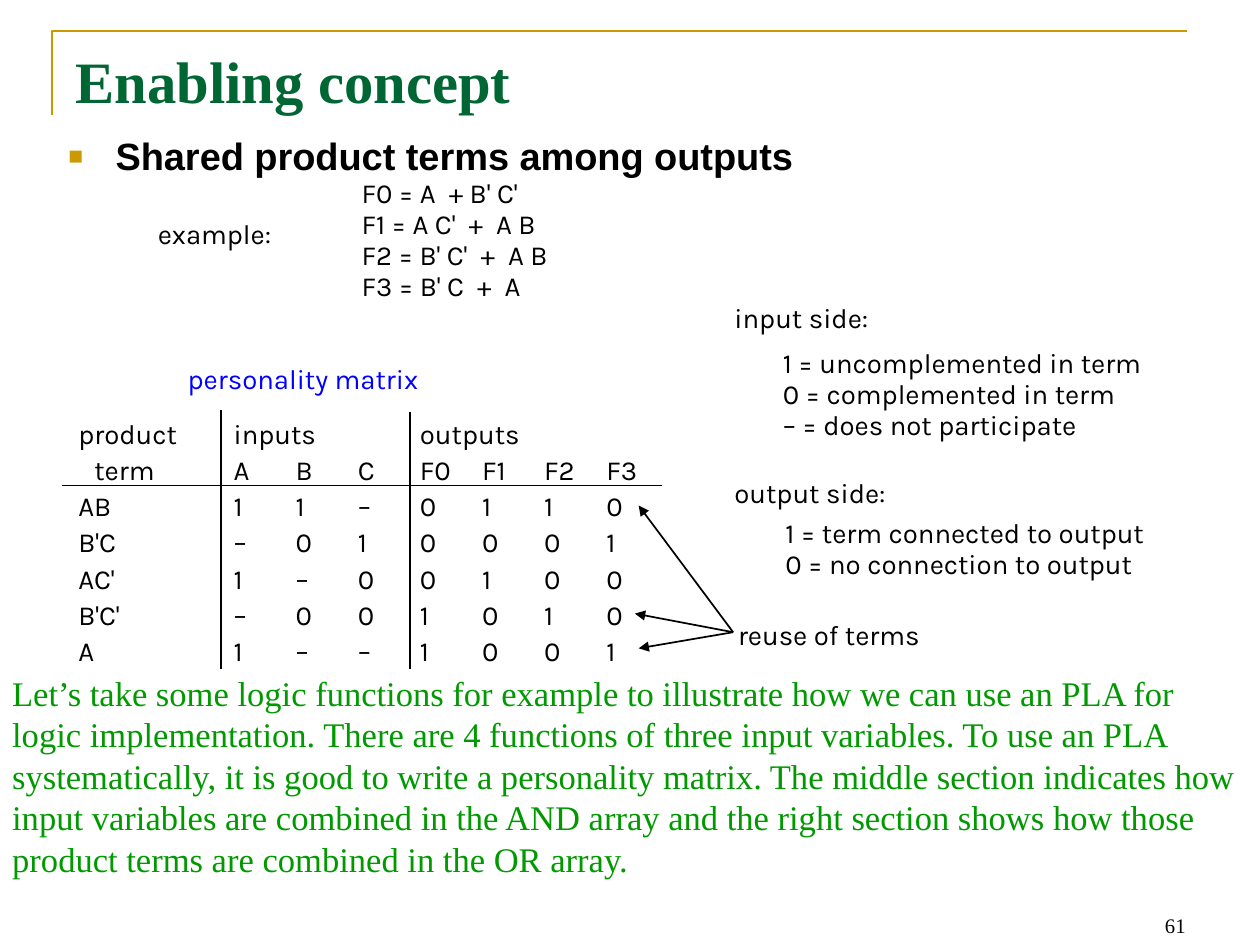
from pptx import Presentation
from pptx.dml.color import RGBColor
from pptx.enum.shapes import MSO_CONNECTOR
from pptx.enum.text import MSO_ANCHOR, MSO_AUTO_SIZE, PP_ALIGN
from pptx.oxml.ns import qn
from pptx.util import Inches, Pt
from lxml import etree

STRAIGHT = MSO_CONNECTOR.STRAIGHT
TOP, BOTTOM = MSO_ANCHOR.TOP, MSO_ANCHOR.BOTTOM
NO_FIT = MSO_AUTO_SIZE.NONE
LEFT, RIGHT = PP_ALIGN.LEFT, PP_ALIGN.RIGHT
COLORS = {"gold": "CC9900", "title": "006633", "ink": "000000",
          "label": "0000FF", "note": "009900"}
SANS, SERIF, HEADING = "Karla", "Times New Roman", "Arial"


def color(name):
    return RGBColor.from_string(COLORS[name])


class PlaSlide:
    def __init__(self, deck):
        self.slide = deck.slides.add_slide(deck.slide_layouts[1])
        self.shapes = self.slide.shapes

    def style(self, paragraph, size, face, ink="ink", bold=False, align=LEFT):
        paragraph.alignment = align
        font = paragraph.font
        font.size, font.name, font.bold = Pt(size), face, bold
        font.color.rgb = color(ink)

    def placeholder(self, holder, text, box, size, face, ink):
        holder.left, holder.top, holder.width, holder.height = map(Inches, box)
        frame = holder.text_frame
        frame.text = text
        frame.auto_size = NO_FIT
        frame.vertical_anchor = TOP
        paragraph = frame.paragraphs[0]
        paragraph.space_before = Pt(0)
        return paragraph, (size, face, ink, True)

    def title(self, text, box):
        paragraph, look = self.placeholder(
            self.shapes.title, text, box, 34, SERIF, "title")
        self.style(paragraph, *look)

    def bullet(self, text, box):
        paragraph, look = self.placeholder(
            self.slide.placeholders[1], text, box, 22, HEADING, "ink")
        props = paragraph._p.get_or_add_pPr()
        props.set("marL", str(Inches(0.38)))
        props.set("indent", str(-Inches(0.38)))
        marker = etree.SubElement(props, qn("a:buClr"))
        etree.SubElement(marker, qn("a:srgbClr"), val=COLORS["gold"])
        etree.SubElement(props, qn("a:buSzPct"), val="65000")
        etree.SubElement(props, qn("a:buFont"), typeface=HEADING)
        etree.SubElement(props, qn("a:buChar"), char="■")
        self.style(paragraph, *look)

    def label(self, text, box, spacing=18, ink="ink"):
        frame = self.shapes.add_textbox(*map(Inches, box)).text_frame
        frame.word_wrap = False
        frame.margin_left = frame.margin_right = Inches(0.02)
        frame.margin_top = frame.margin_bottom = Inches(0.03)
        frame.text = text
        for paragraph in frame.paragraphs:
            paragraph.line_spacing = Pt(spacing)
            self.style(paragraph, 16, SANS, ink)

    def prose(self, text, box, size, ink="ink", align=LEFT, anchor=TOP):
        frame = self.shapes.add_textbox(*map(Inches, box)).text_frame
        frame.word_wrap = True
        frame.vertical_anchor = anchor
        frame.text = text
        self.style(frame.paragraphs[0], size, SERIF, ink, align=align)

    def line(self, start, end, arrow=False):
        rule = self.shapes.add_connector(STRAIGHT, *map(Inches, start + end))
        rule.line.color.rgb = color("ink")
        rule.line.width = Pt(1)
        if arrow:
            etree.SubElement(rule.line._get_or_add_ln(), qn("a:tailEnd"), type="triangle")
        etree.SubElement(rule._element.spPr, qn("a:effectLst"))

    def corner(self, points):
        first, *rest = [tuple(map(Inches, point)) for point in points]
        builder = self.shapes.build_freeform(*first)
        builder.add_line_segments(rest, close=False)
        frame = builder.convert_to_shape()
        frame.fill.background()
        frame.line.color.rgb = color("gold")
        frame.line.width = Pt(1.5)
        frame.shadow.inherit = False

    def matrix(self, rows, left, top, widths, spans):
        table = self.shapes.add_table(
            len(rows), len(widths), Inches(left), Inches(top),
            Inches(sum(widths)), Pt(21 * len(rows))).table
        table.first_row = table.horz_banding = False
        for column, width in zip(table.columns, widths):
            column.width = Inches(width)
        for row, entries in zip(table.rows, rows):
            row.height = Pt(21)
            for cell, entry in zip(row.cells, entries):
                cell.fill.background()
                cell.margin_left = cell.margin_right = 0
                cell.margin_top = cell.margin_bottom = 0
                cell.text = entry
                paragraph = cell.text_frame.paragraphs[0]
                paragraph.line_spacing = Pt(21)
                self.style(paragraph, 16, SANS)
        for first, last in spans:
            table.cell(0, first).merge(table.cell(0, last))
        table.cell(1, 0).margin_left = Inches(0.13)


def main():
    deck = Presentation()
    deck.slide_width, deck.slide_height = Inches(10.14), Inches(7.6)
    page = PlaSlide(deck)

    page.corner([(0.42, 0.93), (0.42, 0.25), (9.55, 0.25)])
    page.title("Enabling concept", (0.51, 0.31, 9.12, 1.26))
    page.bullet("Shared product terms among outputs", (0.45, 1.02, 9.12, 5.02))

    page.label("example:", (1.25, 1.69, 1.35, 0.43), 21)
    page.label("F0 = A  + B' C'\nF1 = A C'  +  A B\nF2 = B' C'  +  A B\nF3 = B' C  +  A",
               (2.89, 1.4, 2.15, 1.14))
    page.label("personality matrix", (1.49, 2.86, 2.39, 0.43), 21, "label")
    page.label("input side:", (5.89, 2.41, 1.51, 0.39))
    page.label("1 = uncomplemented in term\n0 = complemented in term\n– = does not participate",
               (6.28, 2.77, 3.49, 0.89))
    page.label("output side:", (5.89, 3.82, 1.72, 0.39))
    page.label("1 = term connected to output\n0 = no connection to output",
               (6.3, 4.14, 3.61, 0.64))

    terms = [("AB", "11–0110"), ("B'C", "–010001"), ("AC'", "1–00100"),
             ("B'C'", "–001010"), ("A", "1––1001")]
    rows = [["product", "inputs", "", "", "outputs", "", "", ""],
            ["term", "A", "B", "C", "F0", "F1", "F2", "F3"]]
    rows += [[term, *values] for term, values in terms]
    page.matrix(rows, 0.63, 3.34, [1.25] + [0.5] * 7, [(1, 3), (4, 7)])
    page.line((0.5, 3.91), (5.33, 3.91))
    page.line((3.3, 3.32), (3.3, 5.39))
    page.line((1.78, 3.3), (1.78, 5.39))

    page.label("reuse of terms", (5.92, 4.91, 1.96, 0.72), 22)
    for shared_term in [(5.14, 4.07), (5.11, 4.94), (5.14, 5.22)]:
        page.line((5.9, 5.09), shared_term, arrow=True)

    page.prose(
        "Let’s take some logic functions for example to illustrate how we can use an PLA "
        "for logic implementation. There are 4 functions of three input variables. To use "
        "an PLA systematically, it is good to write a personality matrix. The middle "
        "section indicates how input variables are combined in the AND array and the right "
        "section shows how those product terms are combined in the OR array.",
        (0, 5.36, 10.14, 1.77), 20, "note")
    page.prose("61", (7.27, 7.09, 2.37, 0.51), 12, align=RIGHT, anchor=BOTTOM)
    deck.save("out.pptx")


if __name__ == "__main__":
    main()
